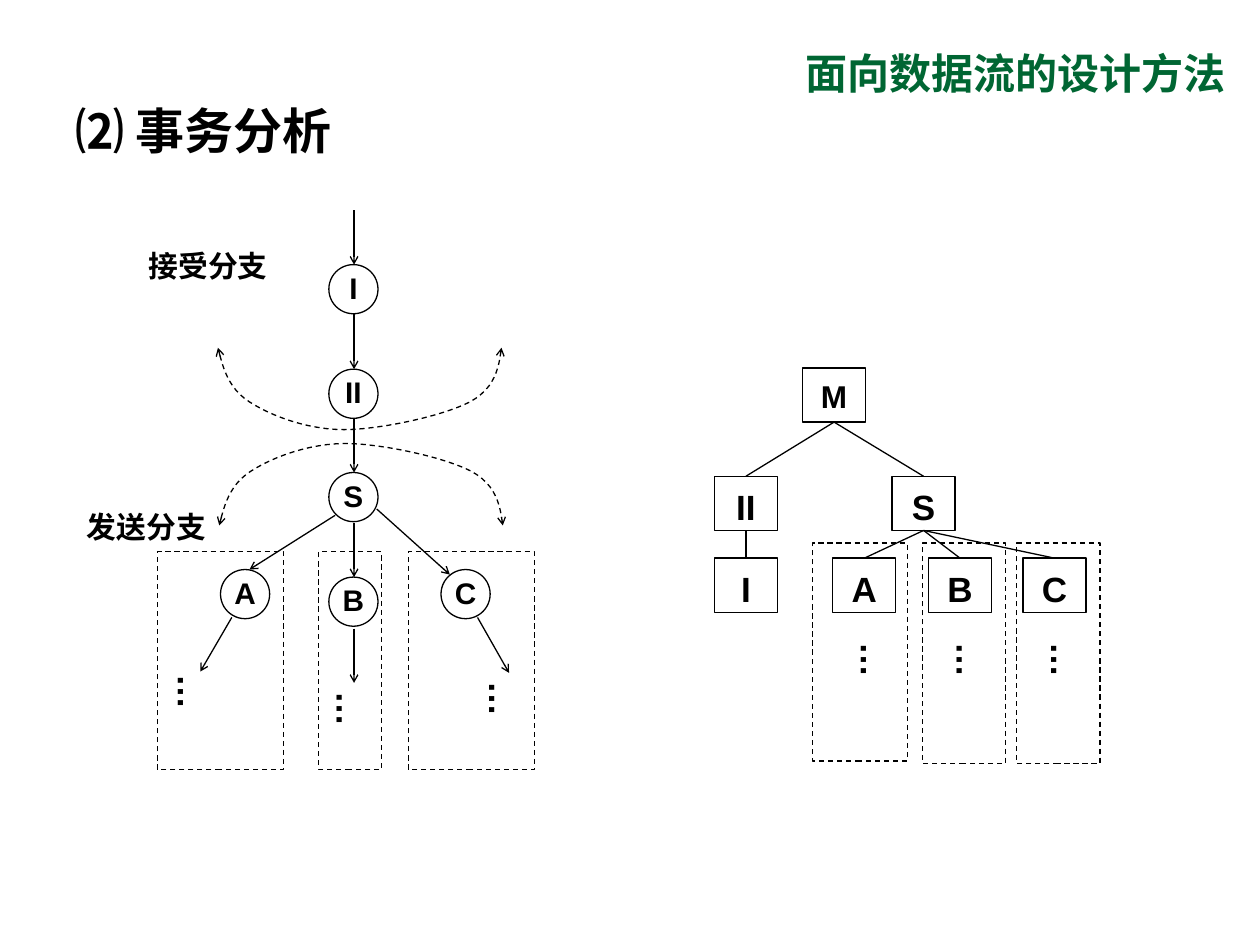
"""Build the transaction analysis slide: a data flow graph beside its module structure."""

from dataclasses import dataclass
from typing import NamedTuple, Optional

from lxml.etree import SubElement
from pptx import Presentation
from pptx.dml.color import RGBColor
from pptx.enum.dml import MSO_LINE
from pptx.enum.shapes import MSO_CONNECTOR, MSO_SHAPE
from pptx.enum.text import MSO_ANCHOR, MSO_AUTO_SIZE, PP_ALIGN
from pptx.oxml.ns import qn
from pptx.shapes.base import BaseShape
from pptx.shapes.shapetree import GroupShapes
from pptx.util import Inches, Pt


@dataclass(frozen=True)
class Theme:
    """Colours, fonts and sizes of the slide."""

    ink: RGBColor = RGBColor(0, 0, 0)
    green: RGBColor = RGBColor(0x00, 0x66, 0x33)
    font: str = "Arial"
    title_font: str = "Times New Roman"
    title: float = 24
    heading: float = 28
    module: float = 20
    root: float = 18
    label: float = 17
    line: float = 0.75


THEME = Theme()


class Point(NamedTuple):
    """A position in inches."""

    x: float
    y: float


class Box(NamedTuple):
    """A rectangle in inches."""

    left: float
    top: float
    width: float
    height: float

    def lengths(self) -> list:
        """Return the four values as lengths."""
        return [Inches(value) for value in self]

    def upper(self) -> Point:
        """Return the middle of the top edge."""
        return Point(self.left + self.width / 2, self.top)

    def lower(self) -> Point:
        """Return the middle of the bottom edge."""
        return Point(self.left + self.width / 2, self.top + self.height)


@dataclass(frozen=True)
class TextStyle:
    """Formatting of a single line of text."""

    size: float
    insets: tuple = (0.1, 0.05, 0.1, 0.05)
    align: PP_ALIGN = PP_ALIGN.LEFT
    anchor: MSO_ANCHOR = MSO_ANCHOR.TOP
    font: str = THEME.font
    color: RGBColor = THEME.ink
    spacing: Optional[float] = None
    before: float = 0
    hanging: float = 0
    vertical: bool = False


MODULE = TextStyle(THEME.module, (0.02, 0.01, 0.02, 0.01), PP_ALIGN.CENTER, spacing=1.2)
ROOT = TextStyle(THEME.root, MODULE.insets, PP_ALIGN.CENTER, spacing=1.2)
NODE = TextStyle(THEME.label, (0, 0.08, 0, 0.01), PP_ALIGN.CENTER)
MODULE_DOTS = TextStyle(THEME.module, (0.01, 0.02, 0, 0.02), PP_ALIGN.CENTER, vertical=True)
FLOW_DOTS = TextStyle(THEME.module, (0, 0, 0.08, 0), PP_ALIGN.CENTER, vertical=True)
BRANCH = TextStyle(THEME.label, before=5, hanging=0.38)
TITLE = TextStyle(THEME.title, align=PP_ALIGN.RIGHT, anchor=MSO_ANCHOR.MIDDLE,
                  font=THEME.title_font, color=THEME.green)
HEADING = TextStyle(THEME.heading, before=7, hanging=0.38)

MODULES = {
    "M": Point(6.37, 2.92), "II": Point(5.67, 3.78), "I": Point(5.67, 4.43), "S": Point(7.08, 3.78),
    "A": Point(6.61, 4.43), "B": Point(7.37, 4.43), "C": Point(8.12, 4.43),
}
CALLS = [("M", "II"), ("II", "I"), ("M", "S"), ("S", "A"), ("S", "B"), ("S", "C")]
NODES = {
    "I": Point(2.61, 2.1), "II": Point(2.61, 2.93), "S": Point(2.61, 3.75),
    "B": Point(2.61, 4.58), "A": Point(1.75, 4.52), "C": Point(3.5, 4.52),
}
FLOWS = [
    (Point(2.81, 1.67), Point(2.81, 2.1)), (Point(2.81, 2.49), Point(2.81, 2.93)),
    (Point(2.81, 3.32), Point(2.81, 3.75)), (Point(2.81, 4.15), Point(2.81, 4.58)),
    (Point(2.66, 4.09), Point(1.98, 4.52)), (Point(2.99, 4.04), Point(3.57, 4.56)),
    (Point(1.84, 4.9), Point(1.59, 5.33)), (Point(2.81, 4.99), Point(2.81, 5.42)),
    (Point(3.79, 4.9), Point(4.04, 5.34)),
]
ARC = [
    (0, 0), (0.04, 0.16), (0.08, 0.32), (0.25, 0.43), (0.42, 0.54), (0.71, 0.65), (1, 0.65),
    (1.29, 0.65), (1.79, 0.54), (2, 0.43), (2.2, 0.32), (2.23, 0.16), (2.25, 0),
]
MODULE_FRAMES = [Box(6.45, 4.31, 0.75, 1.73), Box(7.32, 4.31, 0.66, 1.75), Box(8.07, 4.31, 0.66, 1.75)]
FLOW_FRAMES = [Box(1.25, 4.38, 1, 1.73), Box(2.53, 4.38, 0.5, 1.73), Box(3.24, 4.38, 1, 1.73)]


def write(shape: BaseShape, text: str, style: TextStyle) -> None:
    """Put one formatted run into a shape."""
    frame = shape.text_frame
    frame.auto_size = MSO_AUTO_SIZE.NONE
    frame.word_wrap = True
    frame.vertical_anchor = style.anchor
    frame.margin_left, frame.margin_top, frame.margin_right, frame.margin_bottom = map(Inches, style.insets)
    if style.vertical:
        shape.element.txBody.find(qn("a:bodyPr")).set("vert", "eaVert")
    paragraph = frame.paragraphs[0]
    paragraph.alignment = style.align
    paragraph.line_spacing = style.spacing
    paragraph.space_before = Pt(style.before)
    if style.hanging:
        properties = next(shape.element.iter(qn("a:pPr")))
        properties.set("marL", str(Inches(style.hanging)))
        properties.set("indent", str(-Inches(style.hanging)))
        SubElement(properties, qn("a:buNone"))
    run = paragraph.add_run()
    run.text = text
    run.font.name, run.font.size, run.font.bold = style.font, Pt(style.size), True
    run.font.color.rgb = style.color


def add_text(shapes: GroupShapes, box: Box, text: str, style: TextStyle) -> None:
    """Add a text box."""
    write(shapes.add_textbox(*box.lengths()), text, style)


def set_line(shape: BaseShape, dashed: bool = False, ends: tuple = ()) -> None:
    """Give a shape or connector its thin line and arrowheads."""
    shape.line.color.rgb = THEME.ink
    shape.line.width = Pt(THEME.line)
    if dashed:
        shape.line.dash_style = MSO_LINE.DASH
    for end in ends:
        SubElement(shape.element.spPr.find(qn("a:ln")), qn(f"a:{end}"), type="arrow", w="sm", len="sm")


def add_outline(shapes: GroupShapes, kind: MSO_SHAPE, box: Box, dashed: bool = False) -> BaseShape:
    """Add an unfilled preset shape."""
    shape = shapes.add_shape(kind, *box.lengths())
    shape.fill.background()
    shape.shadow.inherit = False
    set_line(shape, dashed)
    return shape


def add_line(shapes: GroupShapes, start: Point, end: Point, ends: tuple = ()) -> None:
    """Add a straight connector."""
    connector = shapes.add_connector(MSO_CONNECTOR.STRAIGHT, *map(Inches, start + end))
    set_line(connector, ends=ends)
    SubElement(connector.element.spPr, qn("a:effectLst"))


def add_arc(shapes: GroupShapes, origin: Point, direction: int, steps: int = 12) -> None:
    """Add a dashed boundary curve sampled from its cubic segments."""
    points = []
    for first in range(0, len(ARC) - 1, 3):
        controls = ARC[first:first + 4]
        for step in range(1, steps + 1):
            t = step / steps
            weights = ((1 - t) ** 3, 3 * t * (1 - t) ** 2, 3 * t * t * (1 - t), t ** 3)
            x, y = (sum(w * c[axis] for w, c in zip(weights, controls)) for axis in (0, 1))
            points.append((Inches(origin.x + x), Inches(origin.y + direction * y)))
    builder = shapes.build_freeform(*map(Inches, origin))
    builder.add_line_segments(points, close=False)
    curve = builder.convert_to_shape()
    curve.fill.background()
    curve.shadow.inherit = False
    set_line(curve, True, ("headEnd", "tailEnd"))


def add_frames(shapes: GroupShapes, frames: list) -> None:
    """Add the dashed frames around the branches."""
    for frame in frames:
        add_outline(shapes, MSO_SHAPE.RECTANGLE, frame, True)


def add_modules(shapes: GroupShapes) -> None:
    """Draw the module structure."""
    boxes = {name: Box(*corner, 0.5, 0.43) for name, corner in MODULES.items()}
    for name, box in boxes.items():
        write(add_outline(shapes, MSO_SHAPE.RECTANGLE, box), name, ROOT if name == "M" else MODULE)
    for caller, called in CALLS:
        add_line(shapes, boxes[caller].lower(), boxes[called].upper())
    for name in "ABC":
        add_text(shapes, Box(boxes[name].left, 5.08, 0.5, 0.65), "…", MODULE_DOTS)


def add_flow(shapes: GroupShapes) -> None:
    """Draw the data flow graph."""
    for name, corner in NODES.items():
        add_text(shapes, Box(corner.x, corner.y - 0.04, 0.39, 0.39), name, NODE)
        add_outline(shapes, MSO_SHAPE.OVAL, Box(*corner, 0.39, 0.39))
    for start, end in FLOWS:
        add_line(shapes, start, end, ("tailEnd",))
    for left, top in ((1.27, 5.35), (2.53, 5.49), (3.74, 5.41)):
        add_text(shapes, Box(left, top, 0.5, 0.65), "…", FLOW_DOTS)


def main() -> None:
    """Build and save the presentation."""
    presentation = Presentation()
    presentation.slide_width, presentation.slide_height = Inches(10), Inches(7.5)
    slide = presentation.slides.add_slide(presentation.slide_layouts[1])
    for shape, box, text, style in (
        (slide.shapes.title, Box(5.5, 0.33, 4.33, 0.5), "面向数据流的设计方法", TITLE),
        (slide.placeholders[1], Box(0.5, 0.75, 2.33, 0.58), "⑵ 事务分析", HEADING),
    ):
        shape.left, shape.top, shape.width, shape.height = box.lengths()
        write(shape, text, style)
    add_modules(slide.shapes.add_group_shape().shapes)
    add_frames(slide.shapes.add_group_shape().shapes, MODULE_FRAMES)
    boundaries = slide.shapes.add_group_shape().shapes
    add_arc(boundaries, Point(1.73, 2.76), 1)
    add_arc(boundaries, Point(1.74, 4.17), -1)
    add_frames(slide.shapes.add_group_shape().shapes, FLOW_FRAMES)
    add_flow(slide.shapes.add_group_shape().shapes)
    add_text(slide.shapes, Box(1.08, 1.92, 1.42, 0.42), "接受分支", BRANCH)
    add_text(slide.shapes, Box(0.59, 3.99, 1.42, 0.42), "发送分支", BRANCH)
    presentation.save("out.pptx")


if __name__ == "__main__":
    main()
